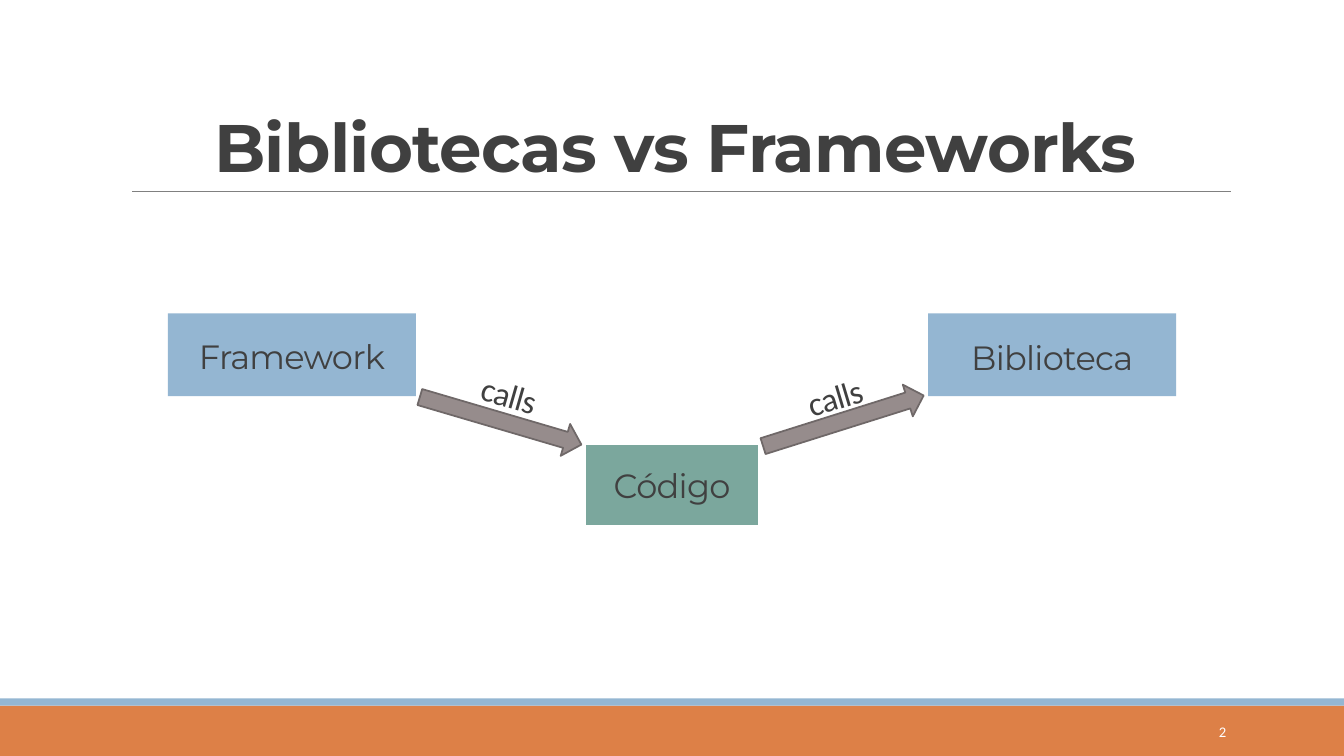
"""Build the slide that compares libraries with frameworks."""
from lxml import etree
from pptx import Presentation
from pptx import util as u
from pptx.dml.color import RGBColor
from pptx.enum import shapes, text
from pptx.oxml import ns

COLS, ROWS = 13.33, 7.5
HUES = {"ink": "404040", "blue": "94B6D2", "green": "7BA79D", "orange": "DD8047",
        "grey": "968C8C", "edge": "6F6868", "rule": "808080", "white": "FFFFFF"}
KIND = shapes.MSO_SHAPE
ALIGN, ANCHOR = text.PP_ALIGN, text.MSO_ANCHOR

BANDS = [("orange", 7, 0.5), ("blue", 6.93, 0.07)]
RULE = (1.31, 12.21, 1.9)
TITLE = ("Bibliotecas vs Frameworks", (1.2, 0.31, 11, 1.59))
PAGE = ("2", (10.83, 7.06, 1.43, 0.4))

MID = COLS / 2
LABEL = (2.35, 0.63)
NODES = [
    ("Framework", "blue", None, MID - 3.77, 3.11, 2.46, 3.15),
    ("Código", "green", "white", MID, 4.4, 1.74, 4.43),
    ("Biblioteca", "blue", None, MID + 3.77, 3.11, 2.46, 3.16),
]
HIGH = 0.82
ARROW = (1.67, 0.33, 4.01)
CALLS = [
    ("calls", MID - 1.7, 16.4, 5.07, 3.54, 16.1),
    ("calls", MID + 1.7, -17.5, 8.26, 3.56, -16.7),
]

deck = Presentation()
deck.slide_width, deck.slide_height = u.Inches(COLS), u.Inches(ROWS)
slide = deck.slides.add_slide(deck.slide_layouts[6])


def hue(name):
    return RGBColor.from_string(HUES[name])


def place(box):
    return [u.Inches(n) for n in box]


def shape(kind, box, fill, line=None, width=2, turn=0):
    item = slide.shapes.add_shape(kind, *place(box))
    item.shadow.inherit = False
    item.rotation = turn
    item.fill.solid()
    item.fill.fore_color.rgb = hue(fill)
    if line:
        item.line.color.rgb = hue(line)
        item.line.width = u.Pt(width)
    else:
        item.line.fill.background()


def write(words, box, size=24, face="Montserrat", color="ink", bold=False,
          align=ALIGN.CENTER, anchor=ANCHOR.BOTTOM, lead=0.85, track=-50, turn=0):
    item = slide.shapes.add_textbox(*place(box))
    item.rotation = turn
    frame = item.text_frame
    frame.word_wrap = True
    frame.vertical_anchor = anchor
    para = frame.paragraphs[0]
    para.text = words
    para.alignment = align
    para.line_spacing = lead
    font = para.font
    font.size, font.name, font.bold = u.Pt(size), face, bold
    font.color.rgb = hue(color)
    font._rPr.set("spc", str(track))


for fill, top, high in BANDS:
    shape(KIND.RECTANGLE, (0, top, COLS, high), fill)

left, right, level = RULE
rule = slide.shapes.add_connector(shapes.MSO_CONNECTOR.STRAIGHT,
                                  *place((left, level, right, level)))
rule.line.color.rgb = hue("rule")
rule.line.width = u.Pt(0.5)
etree.SubElement(rule._element.spPr, ns.qn("a:effectLst"))

write(*TITLE, size=48, bold=True)

for words, fill, line, mid, top, wide, base in NODES:
    shape(KIND.RECTANGLE, (mid - wide / 2, top, wide, HIGH), fill, line)
    write(words, (mid - LABEL[0] / 2, base, *LABEL))

for words, mid, turn, spot, top, tilt in CALLS:
    wide, high, level = ARROW
    shape(KIND.RIGHT_ARROW, (mid - wide / 2, level, wide, high),
          "grey", "edge", 1.25, turn)
    write(words, (spot - LABEL[0] / 2, top, *LABEL), face="Calibri", turn=tilt)

write(*PAGE, size=10.5, face="Calibri", color="white", align=ALIGN.RIGHT,
      anchor=ANCHOR.MIDDLE, lead=1.0, track=0)

deck.save("out.pptx")
